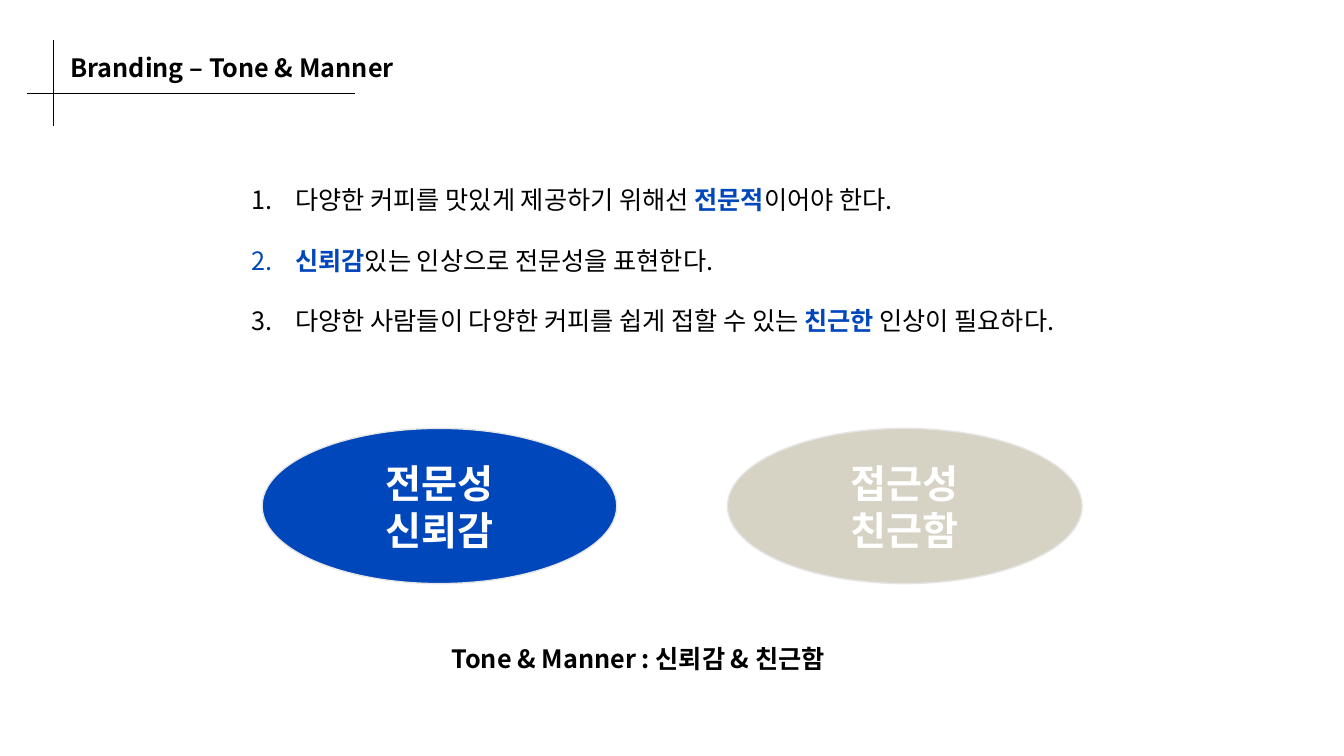
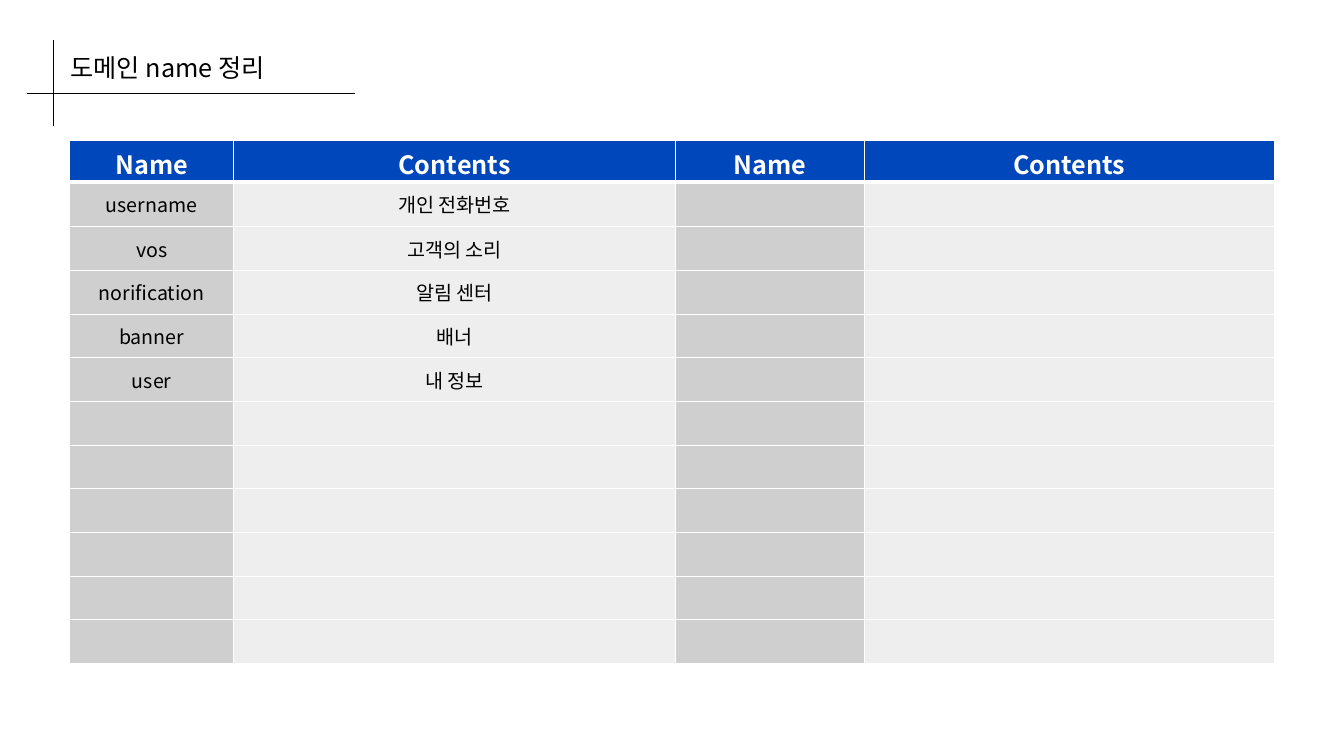
import pptx
import pptx.util
import pptx.dml.color
import pptx.enum.shapes
import pptx.enum.text
import pptx.oxml.ns
from lxml import etree

Pt = pptx.util.Pt
qn = pptx.oxml.ns.qn
CENTER = pptx.enum.text.PP_ALIGN.CENTER
MIDDLE = pptx.enum.text.MSO_ANCHOR.MIDDLE

FONT = "Noto Sans CJK KR"
BLACK, WHITE, BLUE = "000000", "FFFFFF", "0047BB"
BEIGE, OUTLINE = "D6D2C4", "E7E6E6"
NAME_FILL, CONTENT_FILL = "CFCFCF", "EEEEEE"


def rgb(value):
    return pptx.dml.color.RGBColor.from_string(value)


def add_run(p, text, size=18, color=BLACK, bold=False):
    r = p.add_run()
    r.text = text
    r.font.name = FONT
    r.font.size = Pt(size)
    r.font.bold = bold
    r.font.color.rgb = rgb(color)
    etree.SubElement(r.font._element, qn("a:ea"), typeface=FONT)


def write(tf, lines, align=None, **fmt):
    """Fill a text frame; each line is a string or a list of (text, format)."""
    tf.word_wrap = True
    for i, line in enumerate(lines):
        p = tf.paragraphs[0] if i == 0 else tf.add_paragraph()
        p.alignment = align
        for text, extra in [(line, {})] if isinstance(line, str) else line:
            add_run(p, text, **{**fmt, **extra})


def text_box(s, x, y, w, h, lines, **fmt):
    sp = s.shapes.add_textbox(Pt(x), Pt(y), Pt(w), Pt(h))
    write(sp.text_frame, lines, **fmt)
    return sp.text_frame


def rule(s, x1, y1, x2, y2):
    line = s.shapes.add_connector(pptx.enum.shapes.MSO_CONNECTOR.STRAIGHT,
                                  Pt(x1), Pt(y1), Pt(x2), Pt(y2))
    line.line.color.rgb = rgb(BLACK)
    line.line.width = Pt(0.5)
    etree.SubElement(line._element.spPr, qn("a:effectLst"))


def new_slide(prs, title, title_width, bold=False):
    s = prs.slides.add_slide(prs.slide_layouts[6])
    # Crossed rules and title
    rule(s, 19.5, 66.5, 253.5, 66.5)
    rule(s, 38, 28.8, 38, 90)
    text_box(s, 43.25, 34, title_width, 29, [title], bold=bold)
    return s


def numbered_list(s, x, y, w, h, items):
    tf = text_box(s, x, y, w, h, items)
    for p in tf.paragraphs:
        p.space_after = Pt(21.6)
        pPr = p._p.get_or_add_pPr()
        pPr.set("marL", str(Pt(27)))
        pPr.set("indent", str(-Pt(27)))
        etree.SubElement(pPr, qn("a:buFont"), typeface="+mj-lt")
        etree.SubElement(pPr, qn("a:buAutoNum"), type="arabicPeriod")


def ellipse(s, x, y, w, h, lines, fill):
    sp = s.shapes.add_shape(pptx.enum.shapes.MSO_SHAPE.OVAL,
                            Pt(x), Pt(y), Pt(w), Pt(h))
    sp.shadow.inherit = False
    sp.fill.solid()
    sp.fill.fore_color.rgb = rgb(fill)
    sp.line.color.rgb = rgb(OUTLINE)
    sp.line.width = Pt(1)
    sp.text_frame.vertical_anchor = MIDDLE
    write(sp.text_frame, lines, align=CENTER, size=28, color=WHITE, bold=True)


def style_cell(cell, fill, bottom=1, top=1):
    tcPr = cell._tc.get_or_add_tcPr()
    for side, width in (("L", 1), ("R", 1), ("T", top), ("B", bottom)):
        ln = etree.SubElement(tcPr, qn("a:ln" + side), w=str(Pt(width)))
        solid = etree.SubElement(ln, qn("a:solidFill"))
        etree.SubElement(solid, qn("a:srgbClr"), val=WHITE)
    cell.fill.solid()
    cell.fill.fore_color.rgb = rgb(fill)


def name_table(s, x, y, col_widths, row_heights, headers, entries):
    table = s.shapes.add_table(len(row_heights), len(col_widths), Pt(x), Pt(y),
                               Pt(sum(col_widths)), Pt(sum(row_heights))).table
    table.horz_banding = False
    for col, width in zip(table.columns, col_widths):
        col.width = Pt(width)
    for row, height in zip(table.rows, row_heights):
        row.height = Pt(height)

    # Header row
    for c, header in enumerate(headers):
        cell = table.cell(0, c)
        style_cell(cell, BLUE, bottom=3)
        write(cell.text_frame, [header], align=CENTER, color=WHITE, bold=True)

    # Body rows, the unused ones left blank
    for r in range(1, len(row_heights)):
        for c in range(len(col_widths)):
            cell = table.cell(r, c)
            style_cell(cell, CONTENT_FILL if c % 2 else NAME_FILL,
                       top=3 if r == 1 else 1)
            cell.vertical_anchor = MIDDLE
            if r <= len(entries) and c < len(entries[r - 1]):
                write(cell.text_frame, [entries[r - 1][c]], align=CENTER, size=14)


def tone_slide(prs):
    s = new_slide(prs, "Branding – Tone & Manner", 258, bold=True)
    blue, key = {"color": BLUE}, {"color": BLUE, "bold": True}
    numbered_list(s, 172.8, 128.2, 668, 116.6, [
        [(" 다양한 커피를 맛있게 제공하기 위해선 ", {}), ("전문적", key), ("이어야 한다.", {})],
        [(" ", blue), ("신뢰감", key), ("있는 인상으로 전문성을 표현한다.", {})],
        [(" 다양한 사람들이 다양한 커피를 쉽게 접할 수 있는 ", {}), ("친근한", key),
         (" 인상이 필요하다.", {})],
    ])
    # Two tones
    tones = [(["전문성", "신뢰감"], BLUE), (["접근성", "친근함"], BEIGE)]
    for i, (lines, fill) in enumerate(tones):
        ellipse(s, 187.2 + i * 332.4, 306, 253.4, 110.9, lines, fill)
    # Conclusion
    text_box(s, 315.4, 455.8, 319, 29.5, ["Tone & Manner : 신뢰감 & 친근함"], bold=True)


def domain_slide(prs):
    s = new_slide(prs, "도메인 name 정리", 215)
    name_table(s, 49.9, 100.4, [117, 315.6, 135, 292.8],
               [29.5, 32.2] + [31.2] * 10, ["Name", "Contents"] * 2, [
                   ("username", "개인 전화번호"),
                   ("vos", "고객의 소리"),
                   ("norification", "알림 센터"),
                   ("banner", "배너"),
                   ("user", "내 정보"),
               ])


def main():
    prs = pptx.Presentation()
    prs.slide_width, prs.slide_height = Pt(960), Pt(540)
    tone_slide(prs)
    domain_slide(prs)
    prs.save("out.pptx")


if __name__ == "__main__":
    main()
